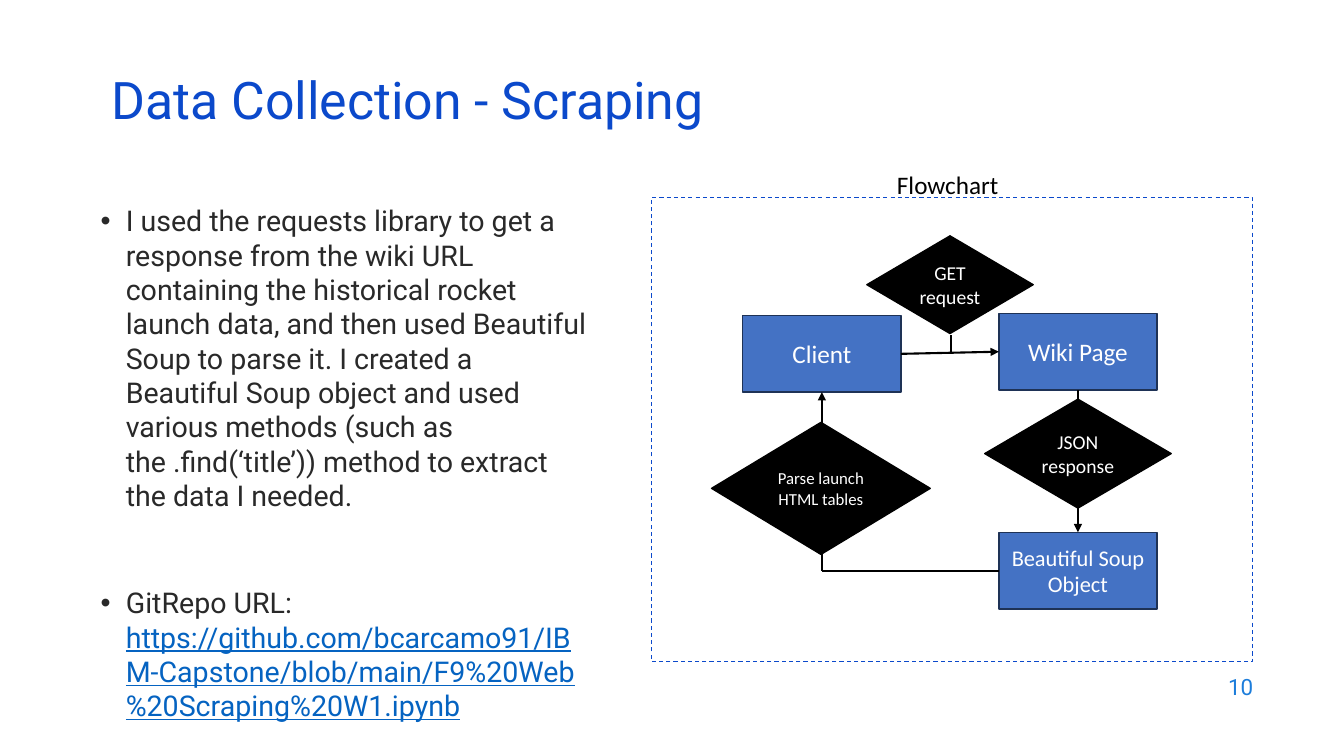
from dataclasses import dataclass

from lxml.etree import SubElement
from pptx import Presentation
from pptx.dml.color import RGBColor
from pptx.enum.dml import MSO_LINE
from pptx.enum.shapes import MSO_CONNECTOR as CONN, MSO_SHAPE as SHAPE
from pptx.enum.text import MSO_ANCHOR as ANCHOR, PP_ALIGN as ALIGN
from pptx.oxml.ns import qn
from pptx.util import Pt

COLORS = {
    "title": "0B49CB", "number": "1C7DDB", "body": "292929", "link": "0563C1",
    "box": "4472C4", "box_line": "1E3256", "black": "000000", "white": "FFFFFF",
}
BOX_W, BOX_H = 113, 54.7
BOTTOM, LEFT, RIGHT, TOP = 2, 1, 3, 0


@dataclass
class Node:
    text: str
    left: float
    top: float
    size: float
    width: float = BOX_W
    height: float = BOX_H
    kind: SHAPE = SHAPE.RECTANGLE
    fill: str = "box"
    line: str = "box_line"


@dataclass
class Link:
    start: tuple[float, float]
    end: tuple[float, float]
    begin_at: tuple[str, int] | None = None
    end_at: tuple[str, int] | None = None
    arrow: bool = True


def rgb(name: str) -> RGBColor:
    return RGBColor.from_string(COLORS[name])


def add_run(p, text: str, size: float, font: str, color: str):
    r = p.add_run()
    r.text = text
    r.font.size, r.font.name = Pt(size), font
    r.font.color.rgb = rgb(color)
    return r


def add_box(left: float, top: float, width: float, height: float,
            anchor: ANCHOR = ANCHOR.TOP, wrap: bool = True):
    tf = s.shapes.add_textbox(Pt(left), Pt(top), Pt(width), Pt(height)).text_frame
    tf.word_wrap, tf.vertical_anchor = wrap, anchor
    return tf


def add_bullet(p) -> None:
    pPr = p._p.get_or_add_pPr()
    pPr.set("marL", str(Pt(18)))
    pPr.set("indent", str(Pt(-18)))
    SubElement(pPr, qn("a:buFont"), typeface="Arial")
    SubElement(pPr, qn("a:buChar"), char="•")


def add_node(node: Node):
    sp = s.shapes.add_shape(node.kind, Pt(node.left), Pt(node.top),
                            Pt(node.width), Pt(node.height))
    sp.shadow.inherit = False
    sp.fill.solid()
    sp.fill.fore_color.rgb = rgb(node.fill)
    sp.line.color.rgb, sp.line.width = rgb(node.line), Pt(1)
    tf = sp.text_frame
    tf.word_wrap, tf.vertical_anchor = True, ANCHOR.MIDDLE
    p = tf.paragraphs[0]
    p.alignment = ALIGN.CENTER
    add_run(p, node.text, node.size, "Calibri", "white")
    return sp


def add_link(link: Link, boxes: dict) -> None:
    c = s.shapes.add_connector(CONN.STRAIGHT, *map(Pt, link.start + link.end))
    if link.begin_at:
        c.begin_connect(boxes[link.begin_at[0]], link.begin_at[1])
    if link.end_at:
        c.end_connect(boxes[link.end_at[0]], link.end_at[1])
    c.line.color.rgb, c.line.width = rgb("black"), Pt(1.5)
    if link.arrow:
        SubElement(c.line._get_or_add_ln(), qn("a:tailEnd"), type="triangle")
    SubElement(c._element.spPr, qn("a:effectLst"))


prs = Presentation()
prs.slide_width, prs.slide_height = Pt(960), Pt(540)
s = prs.slides.add_slide(prs.slide_layouts[6])

# Title and slide number
p = add_box(72.7, 54.7, 828, 43.2, ANCHOR.MIDDLE).paragraphs[0]
p.line_spacing = 0.7
add_run(p, "Data Collection - Scraping", 37, "Roboto", "title")
p = add_box(686.2, 474.5, 216, 31.7, ANCHOR.MIDDLE).paragraphs[0]
p.alignment = ALIGN.RIGHT
add_run(p, "10", 16, "Roboto", "number")

# Bulleted text
tf = add_box(64.8, 141.8, 365, 355.7)
p = tf.paragraphs[0]
add_bullet(p)
add_run(p, "I used the requests library to get a response from the wiki URL "
           "containing the historical rocket launch data, and then used Beautiful "
           "Soup to parse it. I created a Beautiful Soup object and used various "
           "methods (such as the .find(‘title’)) method to extract the data I "
           "needed.", 20.4, "Roboto", "body")
p = tf.add_paragraph()
p.space_before = Pt(52.4)
add_bullet(p)
add_run(p, "GitRepo URL: ", 20.4, "Roboto", "body")
r = add_run(p, "https://github.com/bcarcamo91/IBM-Capstone/blob/main/"
               "F9%20Web%20Scraping%20W1.ipynb", 20.4, "Roboto", "link")
r.font.underline = True

# Flowchart frame and heading
frame = s.shapes.add_shape(SHAPE.RECTANGLE, Pt(465.1), Pt(141.1), Pt(429.8), Pt(331.2))
frame.shadow.inherit = False
frame.fill.background()
frame.line.color.rgb, frame.line.width = rgb("title"), Pt(0.75)
frame.line.dash_style = MSO_LINE.DASH
p = add_box(633.6, 117.4, 87.8, 28.8, wrap=False).paragraphs[0]
add_run(p, "Flowchart", 18, "Calibri", "black")

# Flowchart boxes, links, then decisions on top
BOXES = [
    Node("Client", 530.6, 225.4, 18),
    Node("Wiki Page", 713.5, 223.9, 18),
    Node("Beautiful Soup Object", 713.5, 380.2, 16),
]
LINKS = [
    Link((644, 253), (714, 251), ("Client", RIGHT), ("Wiki Page", LEFT)),
    Link((770, 279), (770, 380), ("Wiki Page", BOTTOM), ("Beautiful Soup Object", TOP)),
    Link((587.1, 407.55), (587.1, 280), end_at=("Client", BOTTOM)),
    Link((587.1, 407.55), (714, 407.55), end_at=("Beautiful Soup Object", LEFT), arrow=False),
    Link((679, 252), (679, 239), arrow=False),
]
DIAMOND = {"kind": SHAPE.FLOWCHART_DECISION, "fill": "black", "line": "black"}
DECISIONS = [
    Node("GET request", 619.2, 168.5, 14, 118.8, 69.8, **DIAMOND),
    Node("Parse launch HTML tables", 508.3, 301.7, 12, 156.2, 94.3, **DIAMOND),
    Node("JSON response", 703.4, 285.1, 14, 133.2, 77.8, **DIAMOND),
]
boxes = {node.text: add_node(node) for node in BOXES}
for link in LINKS:
    add_link(link, boxes)
for node in DECISIONS:
    add_node(node)

prs.save("out.pptx")
